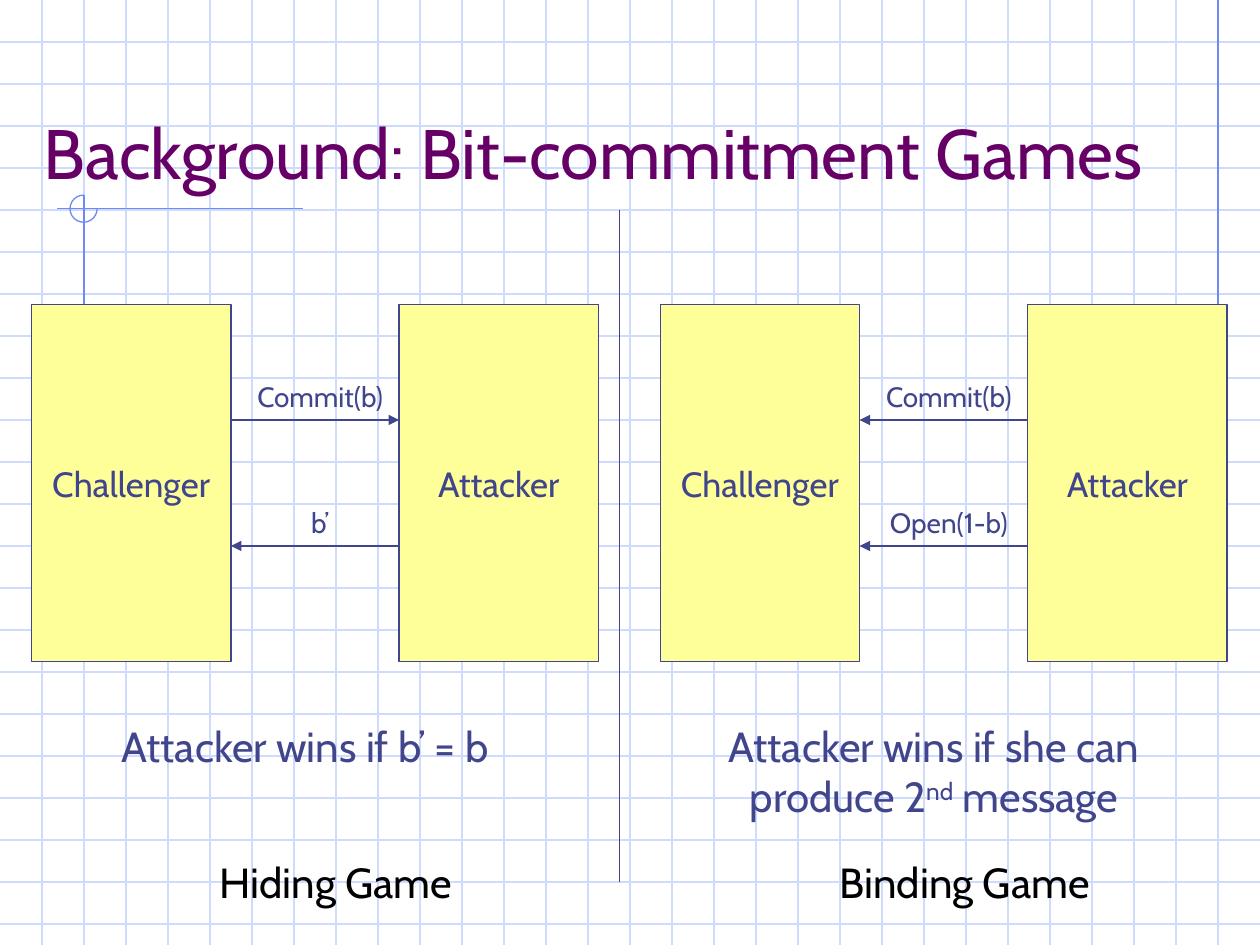
from lxml.etree import SubElement
from pptx import Presentation
from pptx.dml.color import RGBColor
from pptx.enum.shapes import MSO_CONNECTOR as Link, MSO_SHAPE as Kind
from pptx.enum.text import MSO_ANCHOR as Anchor, PP_ALIGN as Align
from pptx.oxml.ns import qn
from pptx.util import Pt

WIDE, HIGH, STEP = 720, 540, 24
INK, GRID, MARK = "40458C", "CFDBFD", "6F89F7"
GAP = 359.25


def color(code):
    return RGBColor.from_string(code)


def line(slide, x1, y1, x2, y2, code, arrow=False):
    rule = slide.shapes.add_connector(Link.STRAIGHT, Pt(x1), Pt(y1), Pt(x2), Pt(y2))
    rule.line.color.rgb = color(code)
    rule.line.width = Pt(0.75)
    props = rule._element.spPr
    if arrow:
        SubElement(rule.line._get_or_add_ln(), qn("a:tailEnd"), type="triangle")
    SubElement(props, qn("a:effectLst"))


def style(shape, parts, size, code, align=Align.CENTER, anchor=Anchor.TOP, wrap=True):
    frame = shape.text_frame
    frame.word_wrap = wrap
    frame.vertical_anchor = anchor
    para = frame.paragraphs[0]
    para.alignment = align
    for part in parts:
        run = para.add_run()
        run.text = part
        run.font.size = Pt(size)
        run.font.name = "Cabin"
        run.font.color.rgb = color(code)
    return para


def label(slide, x, y, w, h, parts, size, code=INK, **look):
    box = slide.shapes.add_textbox(Pt(x), Pt(y), Pt(w), Pt(h))
    return style(box, parts, size, code, **look)


def party(slide, x, name):
    box = slide.shapes.add_shape(Kind.RECTANGLE, Pt(x), Pt(174), Pt(114), Pt(204))
    box.shadow.inherit = False
    box.fill.solid()
    box.fill.fore_color.rgb = color("FFFF99")
    box.line.color.rgb = color(INK)
    box.line.width = Pt(0.75)
    style(box, [name], 20, INK, anchor=Anchor.MIDDLE, wrap=False)


def paper(slide):
    for y in range(STEP, HIGH, STEP):
        line(slide, 0, y, WIDE, y, GRID)
    for x in range(STEP, WIDE, STEP):
        line(slide, x, 0, x, HIGH, GRID)
    line(slide, 696, 0, 696, 186, MARK)
    line(slide, 173, 119.25, 32.5, 119.25, MARK)
    line(slide, 48, 111.5, 48, 294.5, MARK)
    arc = slide.shapes.add_shape(Kind.ARC, Pt(40), Pt(111.5), Pt(15.5), Pt(15.5))
    arc.shadow.inherit = False
    arc.adjustments[0] = 0
    arc.adjustments[1] = 162
    arc.fill.background()
    arc.line.color.rgb = color(MARK)
    arc.line.width = Pt(0.75)


def game(slide, left, moves, rule, name):
    party(slide, left + 18, "Challenger")
    party(slide, left + 228, "Attacker")
    for row, (text, right) in enumerate(moves):
        y = 240 + 72 * row
        ends = (132, 228) if right else (228, 132)
        line(slide, left + ends[0], y, left + ends[1], y, INK, arrow=True)
        label(slide, left + 132, y - 26.5, 102, 26.5, [text], 16)
    high = 36 if len(rule) == 1 else 65
    para = label(slide, left + 31.5, 408, 286, high, rule, 24)
    for run in para.runs[1:2]:
        run.font._element.set("baseline", "30000")
    label(slide, left + 102, 480, 180, 48, [name], 24, "000000",
          anchor=Anchor.MIDDLE, wrap=False)


def main():
    deck = Presentation()
    deck.slide_width, deck.slide_height = Pt(WIDE), Pt(HIGH)
    slide = deck.slides.add_slide(deck.slide_layouts[6])
    paper(slide)
    label(slide, 18, 24, 672, 90, ["Background: Bit-commitment Games"], 40,
          "660066", align=Align.LEFT, anchor=Anchor.BOTTOM)
    line(slide, 354, 120, 354, 504, INK)
    game(slide, 0, [("Commit(b)", True), ("b’", False)],
         ["Attacker wins if b’ = b"], "Hiding Game")
    game(slide, GAP, [("Commit(b)", False), ("Open(1-b)", False)],
         ["Attacker wins if she can produce 2", "nd", " message"], "Binding Game")
    deck.save("out.pptx")


if __name__ == "__main__":
    main()
